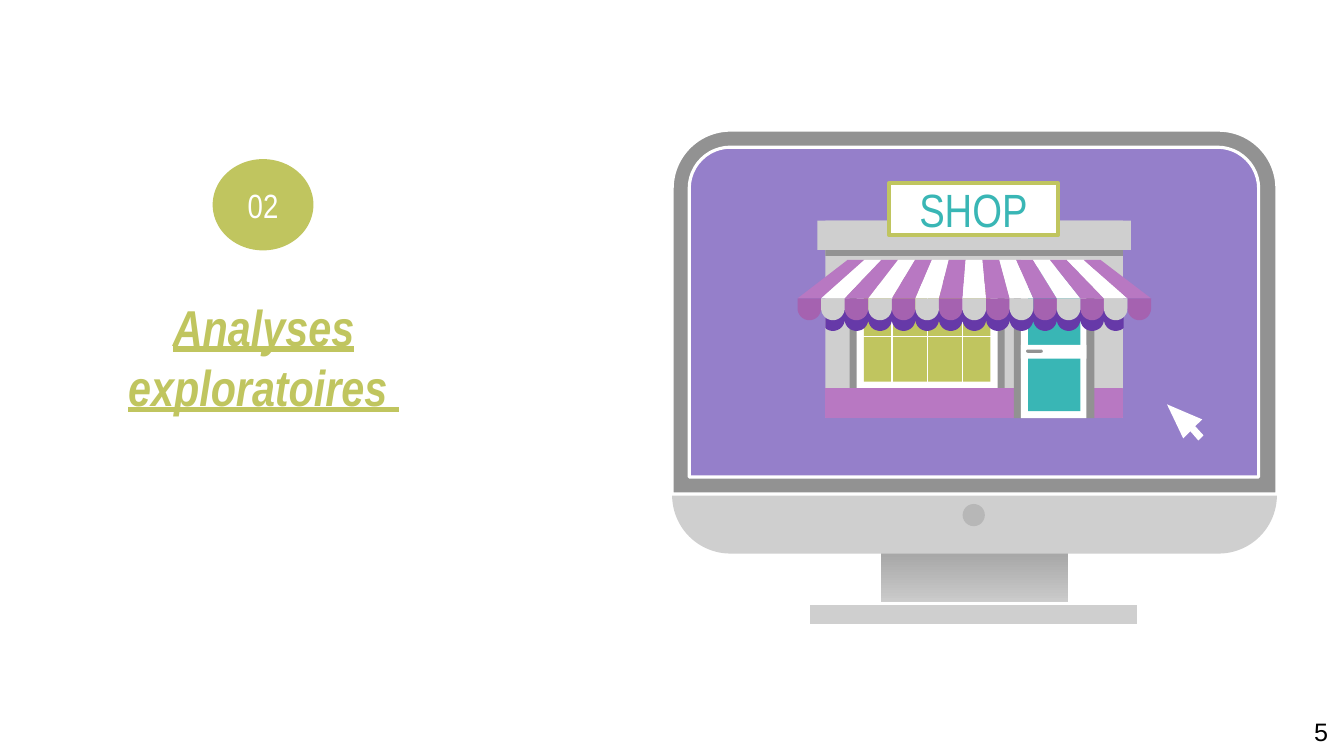
from math import cos, pi, sin

from lxml.etree import SubElement
from pptx import Presentation
from pptx.dml.color import RGBColor
from pptx.enum.shapes import MSO_CONNECTOR, MSO_SHAPE
from pptx.enum.text import MSO_ANCHOR, PP_ALIGN
from pptx.oxml.ns import qn
from pptx.util import Cm, Pt

COLOURS = {
    "white": "FFFFFF", "black": "000000", "olive": "C0C55F", "teal": "39B6B5",
    "screen": "957FCA", "frame": "929292", "light": "CFCFCF", "button": "B7B7B7",
    "stand_top": "919191", "stand_bottom": "DDDDDD",
    "awning": "B878C2", "flap": "A562B0", "shade": "6639A8",
}

# Awning grid: the stripes narrow towards the top
STRIPES = 15
AWNING_TOP, AWNING_EDGE = 6.55, 7.52
TOP_LEFT, TOP_PITCH = 21.36, 0.425
EDGE_LEFT, EDGE_PITCH = 20.1, 0.594


def rgb(colour):
    return RGBColor.from_string(COLOURS[colour])


def paint(shape, fill, line=None, width=0.75):
    shape.shadow.inherit = False
    shape.fill.solid()
    shape.fill.fore_color.rgb = rgb(fill)
    if line:
        shape.line.color.rgb = rgb(line)
        shape.line.width = Pt(width)
    else:
        shape.line.fill.background()
    return shape


def add_block(slide, box, fill, line=None, width=0.75,
              preset=MSO_SHAPE.RECTANGLE, radius=None):
    block = slide.shapes.add_shape(preset, *map(Cm, box))
    if radius is not None:
        block.adjustments[0] = radius / min(box[2:])
    return paint(block, fill, line, width)


def add_outline(slide, points, fill):
    corners = [(Cm(x), Cm(y)) for x, y in points]
    builder = slide.shapes.build_freeform(*corners[0])
    builder.add_line_segments(corners[1:], close=True)
    return paint(builder.convert_to_shape(), fill)


def add_scallops(slide, indices, left, right, top, base, depth, fill):
    """Draw a strip whose lower edge is a row of half-round scallops."""
    edge = []
    for index in indices:
        centre = EDGE_LEFT + (index + 0.5) * EDGE_PITCH
        for step in range(17):
            angle = pi * step / 16
            x = centre - EDGE_PITCH / 2 * cos(angle)
            edge.append((min(max(x, left), right), base + depth * sin(angle)))
    add_outline(slide, [(left, top), *edge, (right, top)], fill)


def add_bar(slide, start, end):
    bar = slide.shapes.add_connector(MSO_CONNECTOR.STRAIGHT, *map(Cm, start + end))
    bar.line.color.rgb = rgb("white")
    bar.line.width = Pt(0.85)
    SubElement(bar._element.spPr, qn("a:effectLst"))


def write(shape, text, size, colour, align=PP_ALIGN.CENTER,
          anchor=MSO_ANCHOR.MIDDLE, margins=(0.33, 0.33), **style):
    frame = shape.text_frame
    side, end = map(Cm, margins)
    layout = {"word_wrap": True, "vertical_anchor": anchor, "margin_left": side,
              "margin_right": side, "margin_top": end, "margin_bottom": end}
    for key, value in layout.items():
        setattr(frame, key, value)
    paragraph = frame.paragraphs[0]
    paragraph.alignment = align
    run = paragraph.add_run()
    run.text = text
    for key, value in {"name": "Arial Narrow", "size": Pt(size), **style}.items():
        setattr(run.font, key, value)
    run.font.color.rgb = rgb(colour)


def draw_monitor(slide):
    stand = add_block(slide, (22.2, 13.26, 4.72, 2.46), "light")
    stand.fill.gradient()
    stand.fill.gradient_angle = 270
    for stop, colour in zip(stand.fill.gradient_stops, ("stand_top", "stand_bottom")):
        stop.color.rgb = rgb(colour)
    add_block(slide, (20.37, 15.21, 8.33, 0.56), "light", "white", 2.25)
    add_block(slide, (16.94, 3.28, 15.24, 10.67), "light",
              preset=MSO_SHAPE.ROUNDED_RECTANGLE, radius=1.47)
    add_block(slide, (24.26, 12.7, 0.56, 0.56), "button", preset=MSO_SHAPE.OVAL)
    for box, fill, radius in (((16.94, 3.28, 15.24, 9.17), "frame", 1.47),
                              ((17.37, 3.71, 14.35, 8.31), "screen", 1.04)):
        add_block(slide, box, fill, "white", 2.25,
                  MSO_SHAPE.ROUND_2_SAME_RECTANGLE, radius)


def draw_front(slide):
    add_block(slide, (20.8, 5.56, 7.5, 4.97), "light")

    # Window, nested with an equal border
    for layer, fill in enumerate(("frame", "white", "olive")):
        inset = 0.18 * layer
        add_block(slide, (21.41 + inset, 6.96 + inset,
                          3.91 - 2 * inset, 3.02 - 2 * inset), fill)
    add_bar(slide, (21.67, 8.48), (25.07, 8.48))
    for pane in range(3):
        x = 22.48 + 0.89 * pane
        add_bar(slide, (x, 7.04), (x, 9.75))
    add_block(slide, (20.8, 9.8, 7.5, 0.72), "awning", "awning")

    # Door
    add_block(slide, (25.55, 6.63, 2.03, 3.91), "frame")
    add_block(slide, (25.73, 6.55, 1.65, 3.99), "white")
    add_block(slide, (25.91, 6.73, 1.32, 3.63), "teal")
    add_scallops(slide, range(1, 14), 20.8, 28.32, 7.8, 8.05, 0.29, "shade")
    add_block(slide, (25.73, 8.69, 1.65, 0.35), "white")
    add_block(slide, (25.86, 8.81, 0.42, 0.08), "frame",
              preset=MSO_SHAPE.ROUNDED_RECTANGLE, radius=0.04)

    # Fascia and sign
    add_block(slide, (20.8, 5.84, 7.5, 0.61), "frame")
    add_block(slide, (20.6, 5.56, 7.9, 0.74), "light")
    sign = add_block(slide, (22.4, 4.62, 4.27, 1.3), "white", "olive", 2.8)
    write(sign, "SHOP", 33.3, "teal")


def draw_awning(slide):
    for index in range(STRIPES):
        top = TOP_LEFT + index * TOP_PITCH
        edge = EDGE_LEFT + index * EDGE_PITCH
        stripe, flap = ("white", "light") if index % 2 else ("awning", "flap")
        add_outline(slide, [(top, AWNING_TOP), (edge, AWNING_EDGE),
                            (edge + EDGE_PITCH, AWNING_EDGE),
                            (top + TOP_PITCH, AWNING_TOP)], stripe)
        add_scallops(slide, [index], edge, edge + EDGE_PITCH,
                     AWNING_EDGE, 7.77, 0.3, flap)


def draw_cursor(slide):
    add_outline(slide, [(29.41, 10.19), (29.82, 11.05), (30, 10.87), (30.2, 11.1),
                        (30.33, 10.97), (30.12, 10.74), (30.3, 10.57)], "white")


def draw_heading(slide):
    badge = add_block(slide, (5.36, 4.01, 2.54, 2.3), "olive", preset=MSO_SHAPE.OVAL)
    write(badge, "02", 24, "white")
    heading = slide.shapes.add_textbox(Cm(1.35), Cm(8.18), Cm(10.59), Cm(1.6))
    write(heading, "Analyses exploratoires ", 36, "olive",
          bold=True, italic=True, underline=True)
    page = slide.shapes.add_textbox(Cm(32.87), Cm(17.93), Cm(0.76), Cm(1.02))
    write(page, "5", 18, "black", PP_ALIGN.LEFT, MSO_ANCHOR.TOP,
          (0.25, 0.13), name="Arial")


def main():
    deck = Presentation()
    deck.slide_width, deck.slide_height = Cm(33.87), Cm(19.05)
    slide = deck.slides.add_slide(deck.slide_layouts[6])
    for draw in (draw_monitor, draw_front, draw_awning, draw_cursor, draw_heading):
        draw(slide)
    deck.save("out.pptx")


if __name__ == "__main__":
    main()
